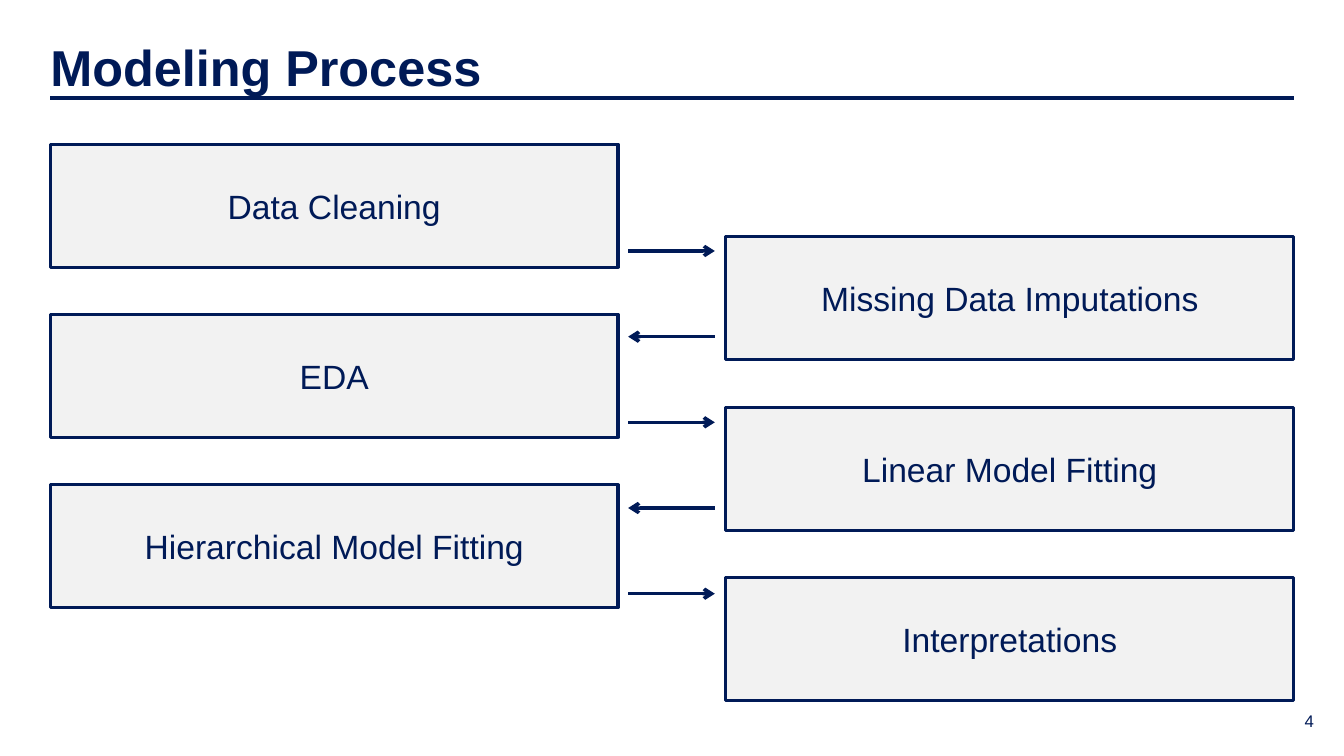
from lxml import etree
from pptx import Presentation
from pptx.dml.color import RGBColor
from pptx.enum import shapes, text
from pptx.oxml import parse_xml
from pptx.oxml.ns import nsdecls, qn
from pptx.util import Inches, Pt

TITLE = "Modeling Process"
STEPS = [
    "Data Cleaning",
    "Missing Data Imputations",
    "EDA",
    "Linear Model Fitting",
    "Hierarchical Model Fitting",
    "Interpretations",
]
PAGE_NUMBER = "4"

NAVY = RGBColor(0x00, 0x1A, 0x57)
PALE_GREY = RGBColor(0xF2, 0xF2, 0xF2)
FONT = "Arial"

COLUMN_LEFTS = (0.5, 7.2)
COLUMN_TOPS = (1.43, 2.35)
BOX_WIDTH, BOX_HEIGHT, ROW_PITCH = 5.63, 1.22, 1.69
ARROW_ENDS = (6.23, 7.09)
ARROW_TOP, ARROW_PITCH = 2.49, 0.85


def style_text(paragraph, size, alignment, bold=False):
    paragraph.alignment = alignment
    font = paragraph.font
    font.name, font.size, font.bold = FONT, Pt(size), bold
    font.color.rgb = NAVY


def add_line(slide, start, end, width, arrow=False):
    line = slide.shapes.add_connector(
        shapes.MSO_CONNECTOR.STRAIGHT, *map(Inches, start + end))
    line.line.color.rgb = NAVY
    line.line.width = Pt(width)
    if arrow:
        etree.SubElement(line.line._get_or_add_ln(), qn("a:tailEnd"), type="arrow")
    etree.SubElement(line._element.spPr, qn("a:effectLst"))


def add_title(slide):
    title = slide.shapes.title
    title.left, title.top = Inches(0.5), Inches(0.36)
    title.width, title.height = Inches(4.32), Inches(0.61)
    frame = title.text_frame
    frame.text = TITLE
    frame.margin_left = frame.margin_right = frame.margin_top = frame.margin_bottom = 0
    frame.word_wrap = False
    frame.auto_size = text.MSO_AUTO_SIZE.SHAPE_TO_FIT_TEXT
    frame.vertical_anchor = text.MSO_ANCHOR.TOP
    style_text(frame.paragraphs[0], 36, text.PP_ALIGN.LEFT, bold=True)


def add_step(slide, index, label):
    row, column = divmod(index, 2)
    box = slide.shapes.add_shape(
        shapes.MSO_SHAPE.RECTANGLE,
        Inches(COLUMN_LEFTS[column]), Inches(COLUMN_TOPS[column] + row * ROW_PITCH),
        Inches(BOX_WIDTH), Inches(BOX_HEIGHT))
    box.shadow.inherit = False
    box.fill.solid()
    box.fill.fore_color.rgb = PALE_GREY
    box.line.color.rgb = NAVY
    box.line.width = Pt(2.25)
    box.text_frame.text = label
    box.text_frame.vertical_anchor = text.MSO_ANCHOR.MIDDLE
    style_text(box.text_frame.paragraphs[0], 24, text.PP_ALIGN.CENTER)


def add_page_number(slide):
    box = slide.shapes.add_textbox(Inches(10.13), Inches(6.95), Inches(3), Inches(0.4))
    frame = box.text_frame
    frame.word_wrap = True
    frame.vertical_anchor = text.MSO_ANCHOR.MIDDLE
    paragraph = frame.paragraphs[0]
    style_text(paragraph, 12, text.PP_ALIGN.RIGHT)
    paragraph._p.append(parse_xml(
        f'<a:fld {nsdecls("a")} id="{{B6F15528-21DE-4FAA-801E-634DDDAF4B2B}}" '
        f'type="slidenum"><a:rPr lang="en-US" sz="1200"><a:solidFill>'
        f'<a:srgbClr val="{NAVY}"/></a:solidFill><a:latin typeface="{FONT}"/>'
        f'</a:rPr><a:t>{PAGE_NUMBER}</a:t></a:fld>'))


def main():
    presentation = Presentation()
    presentation.slide_width, presentation.slide_height = Inches(13.33), Inches(7.5)
    presentation.element.set("firstSlideNum", PAGE_NUMBER)
    slide = presentation.slides.add_slide(presentation.slide_layouts[5])

    add_page_number(slide)
    add_title(slide)
    add_line(slide, (0.5, 0.97), (12.83, 0.97), 3)
    for index, label in enumerate(STEPS):
        add_step(slide, index, label)
    for index in range(len(STEPS) - 1):
        y = ARROW_TOP + index * ARROW_PITCH
        start, end = ARROW_ENDS if index % 2 == 0 else ARROW_ENDS[::-1]
        add_line(slide, (start, y), (end, y), 2.5, arrow=True)

    presentation.save("out.pptx")


if __name__ == "__main__":
    main()
